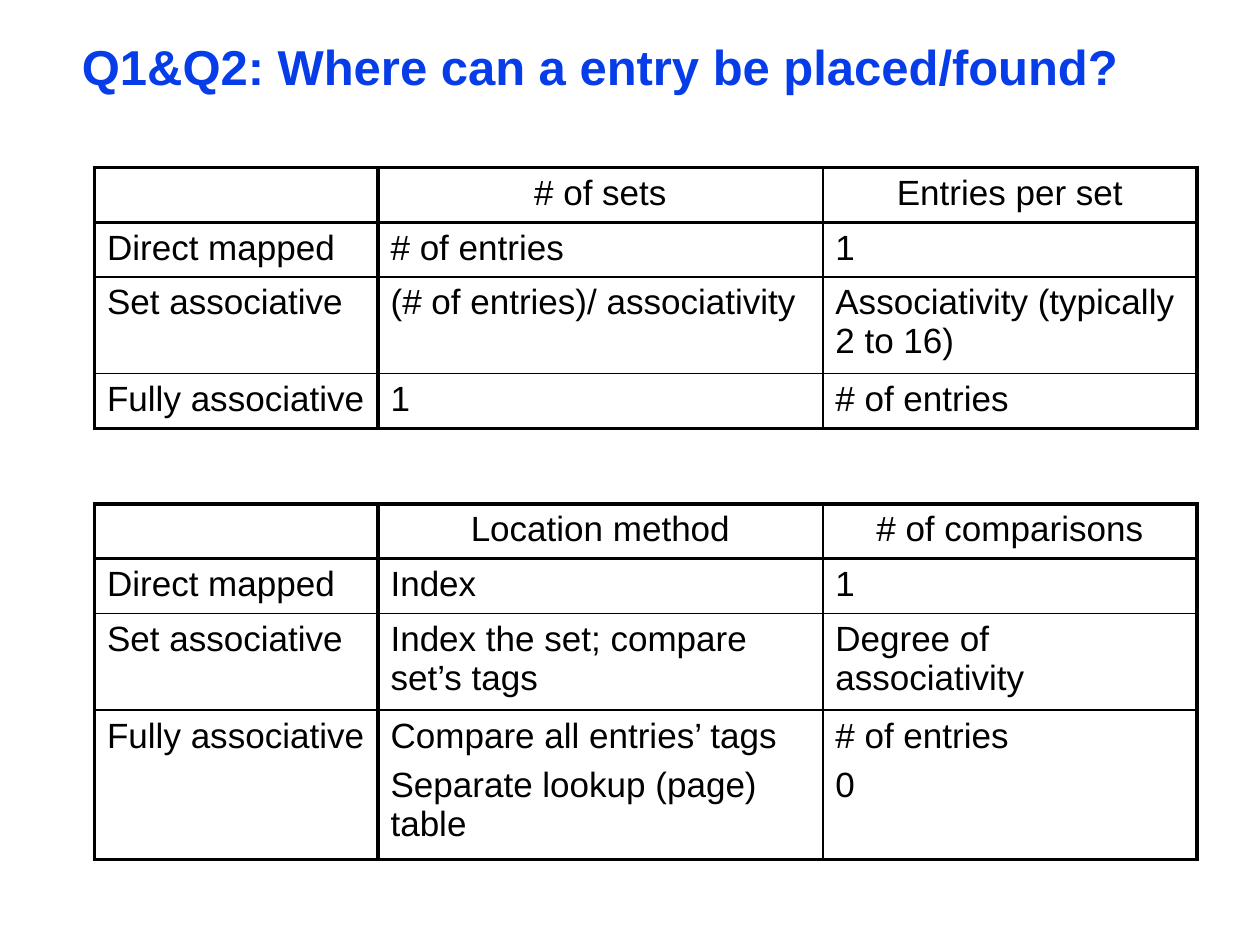
from lxml.etree import SubElement
from pptx import Presentation
from pptx.dml.color import RGBColor
from pptx.enum.text import MSO_ANCHOR, MSO_AUTO_SIZE, PP_ALIGN
from pptx.oxml.ns import qn
from pptx.util import Inches, Pt

TITLE = "Q1&Q2: Where can a entry be placed/found?"
KINDS = ("Direct mapped", "Set associative", "Fully associative")
TABLES = [
    {"top": 1.33, "rows": (0.41, 0.41, 0.72, 0.41), "cells": [
        ("# of sets", "Entries per set"),
        ("# of entries", "1"),
        ("(# of entries)/ associativity", "Associativity (typically 2 to 16)"),
        ("1", "# of entries")]},
    {"top": 4, "rows": (0.41, 0.41, 0.72, 1.11), "cells": [
        ("Location method", "# of comparisons"),
        ("Index", "1"),
        ("Index the set; compare set’s tags", "Degree of associativity"),
        ("Compare all entries’ tags\nSeparate lookup (page) table", "# of entries\n0")]},
]
COLS = (2.25, 3.53, 2.97)
LEFT = 0.75
HEX = {"title": "063DE8", "ink": "000000"}
THICK, THIN = 2.25, 1


def style(para, size, tint, bold=False):
    """Set the font of a paragraph."""
    font = para.font
    font.name, font.size, font.bold = "Arial", Pt(size), bold
    font.color.rgb = RGBColor.from_string(HEX[tint])


def edge(cell, row, col, last):
    """Draw thick outer and header borders and thin inner ones."""
    widths = {
        "a:lnL": THIN if col == 2 else THICK,
        "a:lnR": THIN if col == 1 else THICK,
        "a:lnT": THICK if row < 2 else THIN,
        "a:lnB": THICK if row in (0, last) else THIN,
    }
    props = cell._tc.get_or_add_tcPr()
    for spot, (tag, width) in enumerate(widths.items()):
        line = SubElement(props, qn(tag), w=str(Pt(width)))
        fill = SubElement(line, qn("a:solidFill"))
        SubElement(fill, qn("a:srgbClr"), val=HEX["ink"])
        props.insert(spot, line)


def fill_cell(cell, text, head):
    """Write the paragraphs of a cell."""
    cell.fill.background()
    cell.text = text
    for spot, para in enumerate(cell.text_frame.paragraphs):
        style(para, 20, "ink")
        para.alignment = PP_ALIGN.CENTER if head else PP_ALIGN.LEFT
        if spot:
            para.space_before = Pt(6)


def add_grid(slide, data):
    """Add one bordered table."""
    rows = data["rows"]
    box = map(Inches, (LEFT, data["top"], sum(COLS), sum(rows)))
    table = slide.shapes.add_table(len(rows), len(COLS), *box).table
    table.first_row = table.horz_banding = False
    for col, width in zip(table.columns, COLS):
        col.width = Inches(width)
    for r, (kind, texts) in enumerate(zip(("",) + KINDS, data["cells"])):
        table.rows[r].height = Inches(rows[r])
        for c, text in enumerate((kind,) + texts):
            cell = table.cell(r, c)
            fill_cell(cell, text, r == 0)
            edge(cell, r, c, len(rows) - 1)


def add_title(slide):
    """Place and format the title."""
    title = slide.shapes.title
    title.left, title.top, title.width, title.height = map(
        Inches, (0.58, 0.33, 8.92, 0.46))
    frame = title.text_frame
    frame.text = TITLE
    frame.word_wrap = True
    frame.auto_size = MSO_AUTO_SIZE.SHAPE_TO_FIT_TEXT
    frame.vertical_anchor = MSO_ANCHOR.MIDDLE
    frame.margin_left = frame.margin_right = Inches(0.07)
    frame.margin_top = frame.margin_bottom = Inches(0.03)
    para = frame.paragraphs[0]
    para.alignment, para.line_spacing = PP_ALIGN.LEFT, 0.87
    style(para, 28, "title", True)


deck = Presentation()
deck.slide_width, deck.slide_height = Inches(10), Inches(7.5)
page = deck.slides.add_slide(deck.slide_layouts[5])
add_title(page)
for data in TABLES:
    add_grid(page, data)
deck.save("out.pptx")
